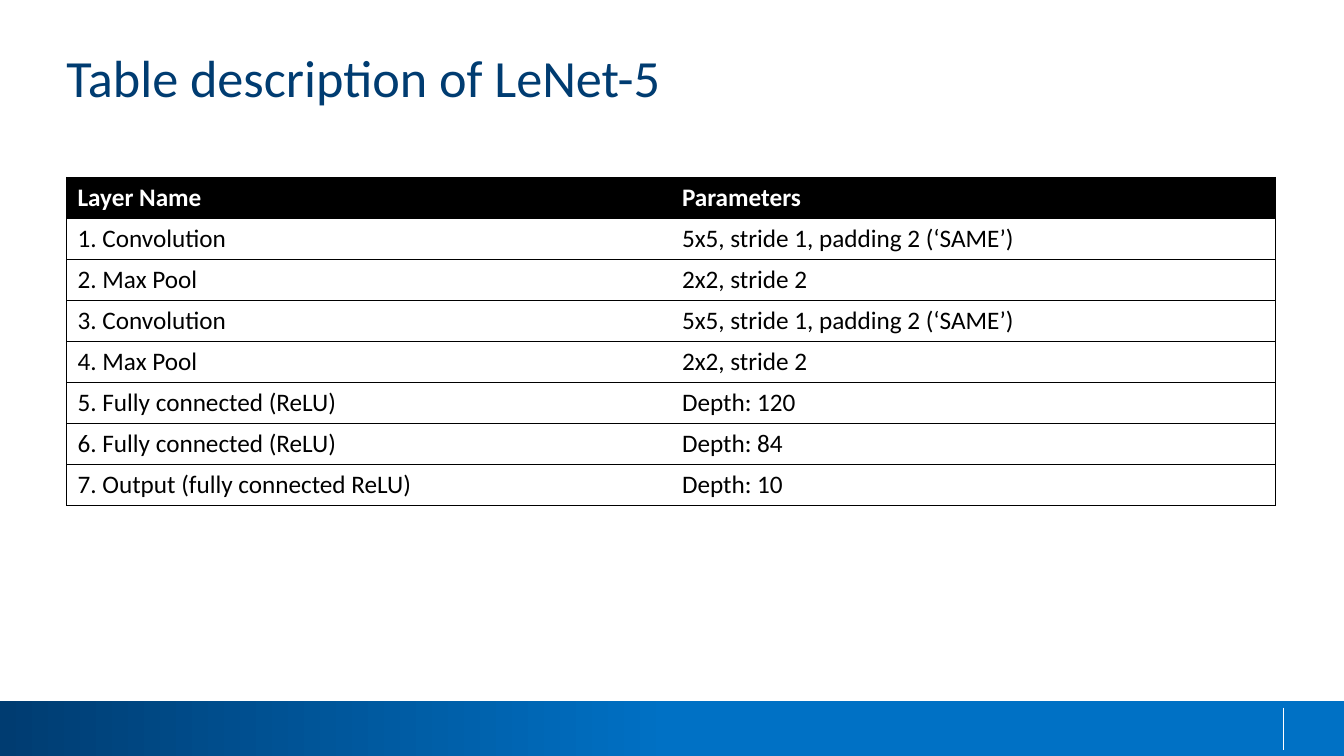
from lxml import etree
from pptx import Presentation
from pptx.dml.color import RGBColor
from pptx.enum import shapes, text
from pptx.oxml import ns
from pptx.util import Inches, Pt

TITLE = "Table description of LeNet-5"
ROWS = [
    ("Layer Name", "Parameters"),
    ("1. Convolution", "5x5, stride 1, padding 2 (‘SAME’)"),
    ("2. Max Pool", "2x2, stride 2"),
    ("3. Convolution", "5x5, stride 1, padding 2 (‘SAME’)"),
    ("4. Max Pool", "2x2, stride 2"),
    ("5. Fully connected (ReLU)", "Depth: 120"),
    ("6. Fully connected (ReLU)", "Depth: 84"),
    ("7. Output (fully connected ReLU)", "Depth: 10"),
]
COLORS = {"navy": "003C71", "blue": "0071C5", "black": "000000", "white": "FFFFFF"}
FONT = "Calibri"
WIDTH, HEIGHT = 13.33, 7.5
LEFT, TABLE_TOP, TABLE_WIDTH, ROW_HEIGHT = 0.66, 1.76, 11.99, 0.407
FOOTER_TOP, DIVIDER_X = 6.95, 12.73
BORDER = Pt(0.75)


def color(name):
    return RGBColor.from_string(COLORS[name])


def write(frame, words, size, name, bold=False):
    span = frame.paragraphs[0].add_run()
    span.text = words
    for key, value in {"name": FONT, "size": Pt(size), "bold": bold}.items():
        setattr(span.font, key, value)
    span.font.color.rgb = color(name)


def add_borders(cell, visible):
    properties = cell._tc.get_or_add_tcPr()
    for place, side in enumerate("LRTB"):
        line = etree.Element(ns.qn(f"a:ln{side}"), w=str(BORDER))
        if side in visible:
            fill = etree.SubElement(line, ns.qn("a:solidFill"))
            etree.SubElement(fill, ns.qn("a:srgbClr"), val=COLORS["black"])
        else:
            etree.SubElement(line, ns.qn("a:noFill"))
        properties.insert(place, line)


def add_footer(page):
    band = page.shapes.add_shape(
        shapes.MSO_SHAPE.RECTANGLE, 0, Inches(FOOTER_TOP),
        Inches(WIDTH), Inches(HEIGHT - FOOTER_TOP))
    band.shadow.inherit = False
    band.line.fill.background()
    band.fill.gradient()
    band.fill.gradient_angle = 0
    for stop, (position, name) in zip(band.fill.gradient_stops, [(0, "navy"), (0.5, "blue")]):
        stop.position = position
        stop.color.rgb = color(name)
    divider = page.shapes.add_connector(
        shapes.MSO_CONNECTOR.STRAIGHT, Inches(DIVIDER_X), Inches(7.02),
        Inches(DIVIDER_X), Inches(7.44))
    divider.line.color.rgb = color("white")
    divider.line.width = BORDER
    etree.SubElement(divider._element.spPr, ns.qn("a:effectLst"))


def add_title(page):
    box = page.shapes.add_textbox(Inches(LEFT), Inches(0.45), Inches(12), Inches(1.27))
    frame = box.text_frame
    settings = {"word_wrap": True, "vertical_anchor": text.MSO_ANCHOR.TOP,
                "margin_left": 0, "margin_right": 0, "margin_top": 0, "margin_bottom": 0}
    for key, value in settings.items():
        setattr(frame, key, value)
    write(frame, TITLE, 37.3, "navy")


def add_layer_table(page):
    table = page.shapes.add_table(
        len(ROWS), len(ROWS[0]), Inches(LEFT), Inches(TABLE_TOP),
        Inches(TABLE_WIDTH), Inches(ROW_HEIGHT * len(ROWS))).table
    table.horz_banding = False
    for r, row in enumerate(ROWS):
        header = r == 0
        for c, words in enumerate(row):
            cell = table.cell(r, c)
            cell.margin_left = cell.margin_right = Inches(0.11)
            cell.margin_top = cell.margin_bottom = Inches(0.05)
            cell.fill.solid()
            cell.fill.fore_color.rgb = color("black" if header else "white")
            write(cell.text_frame, words, 18, "white" if header else "black", header)
            add_borders(cell, "TB" + "LR"[c])


def main():
    deck = Presentation()
    deck.slide_width, deck.slide_height = Inches(WIDTH), Inches(HEIGHT)
    page = deck.slides.add_slide(deck.slide_layouts[6])
    add_footer(page)
    add_title(page)
    add_layer_table(page)
    deck.save("out.pptx")


if __name__ == "__main__":
    main()
